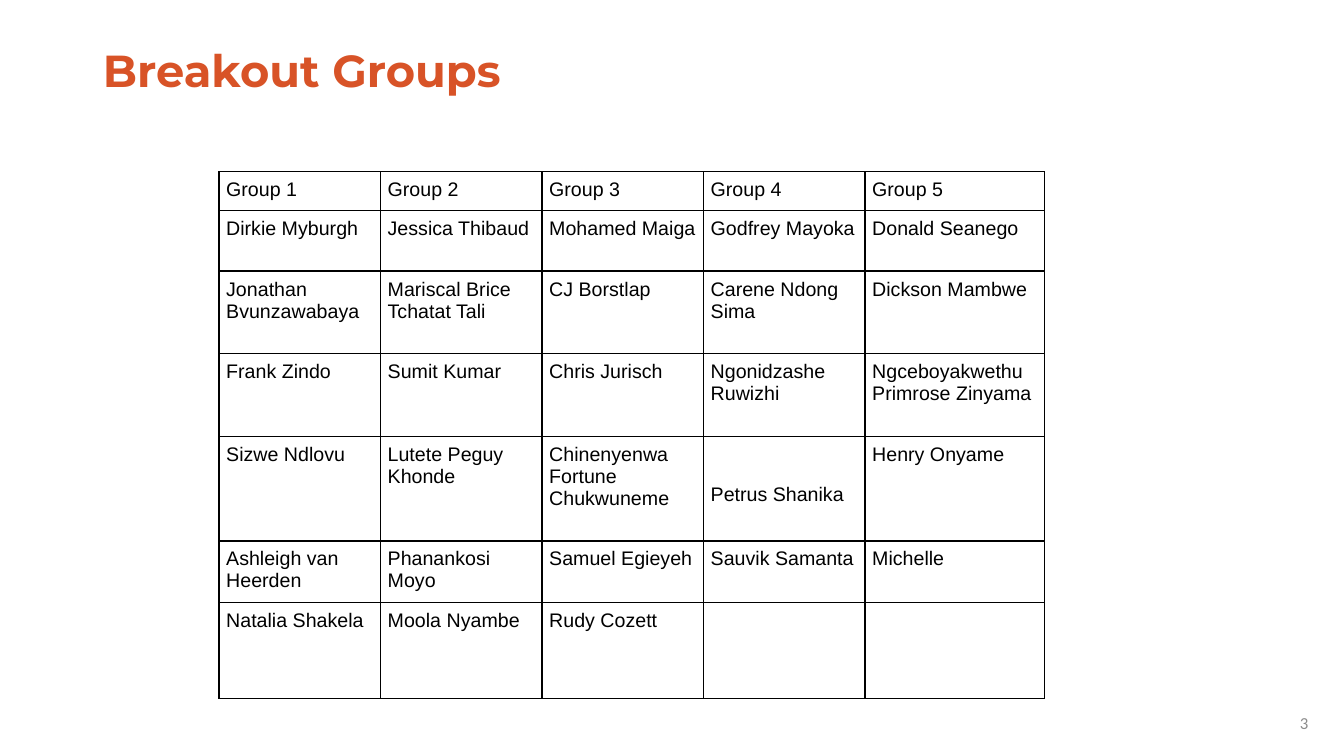
from lxml.etree import SubElement
from pptx import Presentation
from pptx.dml.color import RGBColor
from pptx.enum.text import MSO_ANCHOR as Anchor, MSO_AUTO_SIZE as AutoSize, PP_ALIGN as Align
from pptx.oxml.ns import qn
from pptx.util import Cm, Pt

COLORS = {"title": "D85327", "number": "8C8C8C", "ink": "000000"}
GROUPS = [
    ["Group 1", "Group 2", "Group 3", "Group 4", "Group 5"],
    ["Dirkie Myburgh", "Jessica Thibaud", "Mohamed Maiga", "Godfrey Mayoka", "Donald Seanego"],
    ["Jonathan Bvunzawabaya", "Mariscal Brice Tchatat Tali", "CJ Borstlap",
     "Carene Ndong Sima", "Dickson Mambwe"],
    ["Frank Zindo", "Sumit Kumar", "Chris Jurisch", "Ngonidzashe Ruwizhi",
     "Ngceboyakwethu Primrose Zinyama"],
    ["Sizwe Ndlovu", "Lutete Peguy Khonde", "Chinenyenwa Fortune Chukwuneme",
     "Petrus Shanika", "Henry Onyame"],
    ["Ashleigh van Heerden", "Phanankosi Moyo", "Samuel Egieyeh", "Sauvik Samanta", "Michelle"],
    ["Natalia Shakela", "Moola Nyambe", "Rudy Cozett", "", ""],
]
COLUMN_WIDTHS = [4.07] * 4 + [4.53]
ROW_HEIGHTS = [0.98, 1.52, 2.08, 2.08, 2.64, 1.52, 2.42]
CELL_MARGIN = Cm(0.18)


def write(frame, text, font="Arial", size=14, color="ink", bold=False, align=Align.LEFT):
    frame.text = text
    paragraph = frame.paragraphs[0]
    paragraph.alignment = align
    paragraph.font.name = font
    paragraph.font.size = Pt(size)
    paragraph.font.bold = bold
    paragraph.font.color.rgb = RGBColor.from_string(COLORS[color])
    for run in paragraph.runs:
        run.font.name = font
        run.font.size = Pt(size)
        run.font.bold = bold
        run.font.color.rgb = RGBColor.from_string(COLORS[color])
    return paragraph


def add_borders(cell):
    properties = cell._tc.get_or_add_tcPr()
    for position, side in enumerate(("a:lnL", "a:lnR", "a:lnT", "a:lnB")):
        line = SubElement(properties, qn(side), w=str(Pt(1)))
        properties.insert(position, line)  # borders come before the fill
        fill = SubElement(line, qn("a:solidFill"))
        SubElement(fill, qn("a:srgbClr"), val=COLORS["ink"])


deck = Presentation()
deck.slide_width, deck.slide_height = Cm(33.87), Cm(19.05)
slide = deck.slides.add_slide(deck.slide_layouts[5])

heading = slide.shapes.title
heading.left, heading.top, heading.width, heading.height = Cm(2.34), Cm(1.02), Cm(18.97), Cm(1.65)
heading.text_frame.auto_size = AutoSize.NONE
heading.text_frame.vertical_anchor = Anchor.MIDDLE
heading_line = write(heading.text_frame, "Breakout Groups", font="Montserrat", size=32,
                     color="title", bold=True)
heading_line.line_spacing = 0.9

page_number = slide.shapes.add_textbox(Cm(32), Cm(17.7), Cm(1.22), Cm(1.02)).text_frame
page_number.word_wrap = True
page_number.vertical_anchor = Anchor.MIDDLE
write(page_number, "3", font="Calibri", size=12, color="number", align=Align.RIGHT)

groups = slide.shapes.add_table(len(GROUPS), len(COLUMN_WIDTHS), Cm(5.52), Cm(4.33),
                                Cm(sum(COLUMN_WIDTHS)), Cm(sum(ROW_HEIGHTS))).table
groups.first_row = groups.horz_banding = False
for column, width in zip(groups.columns, COLUMN_WIDTHS):
    column.width = Cm(width)
for row, height, members in zip(groups.rows, ROW_HEIGHTS, GROUPS):
    row.height = Cm(height)
    for cell, member in zip(row.cells, members):
        cell.margin_left = cell.margin_right = CELL_MARGIN
        cell.margin_bottom = CELL_MARGIN
        # This member sits one tall line lower than the rest of the row
        cell.margin_top = Cm(1.21) if member == "Petrus Shanika" else CELL_MARGIN
        cell.fill.background()
        add_borders(cell)
        write(cell.text_frame, member)

deck.save("out.pptx")
